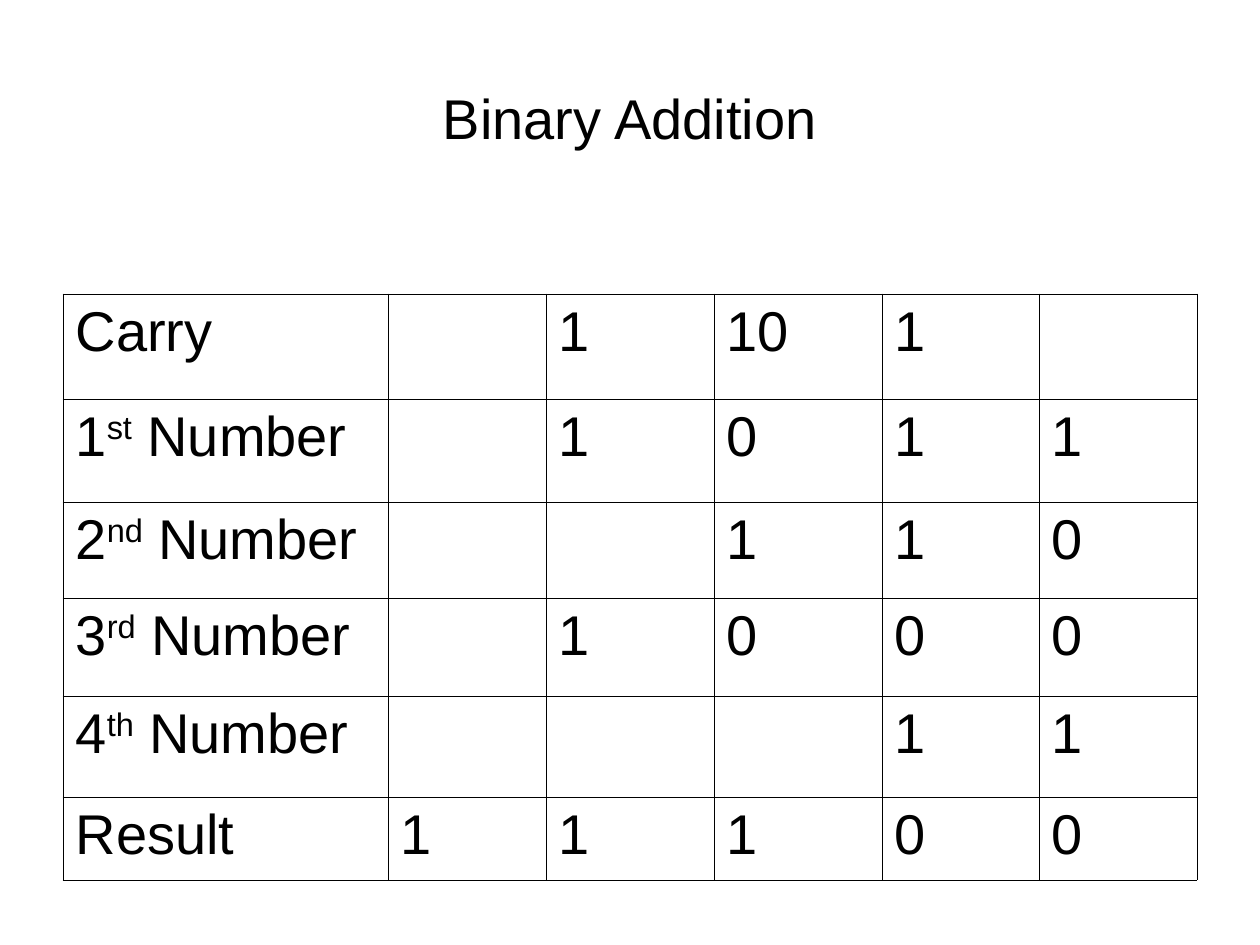
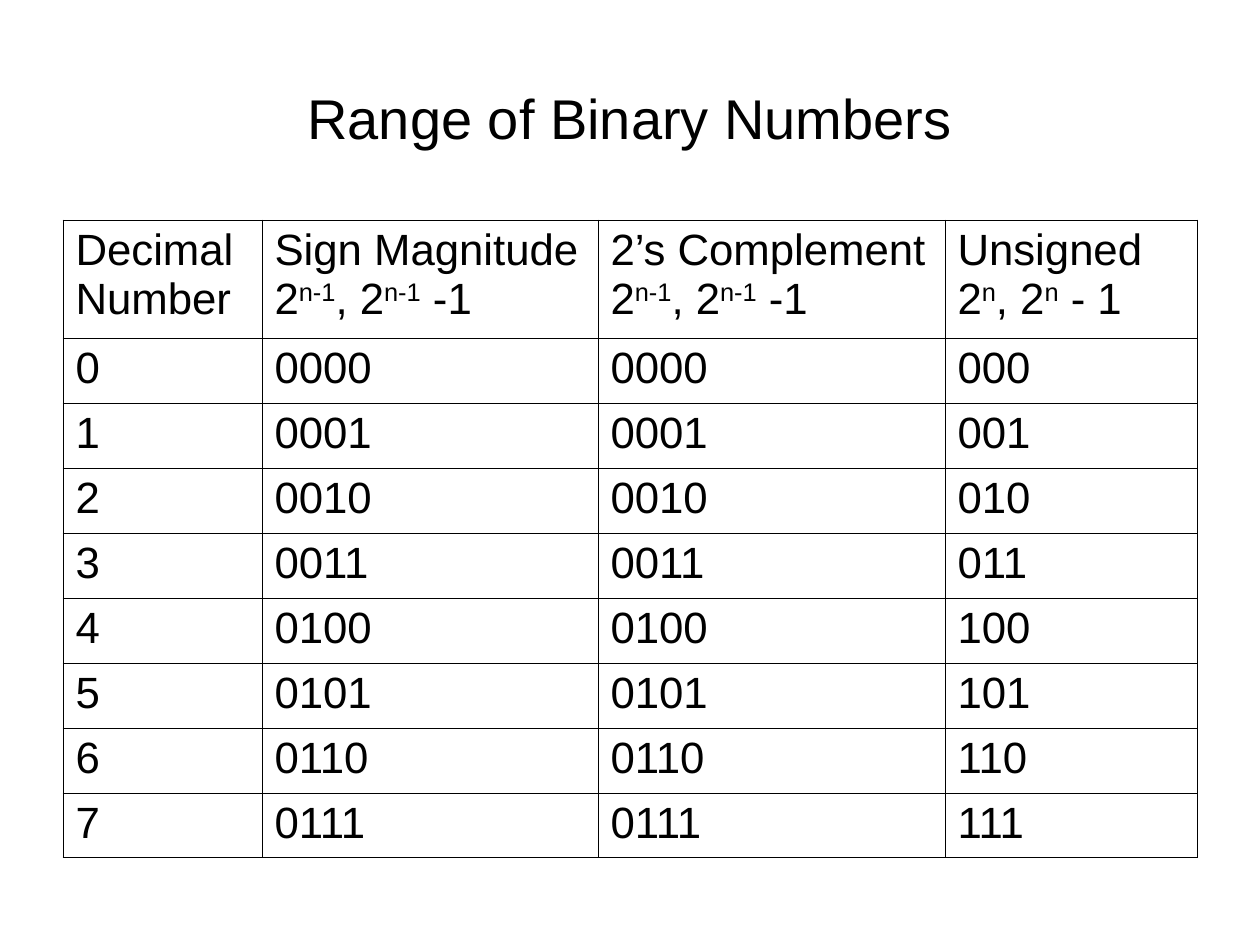
from dataclasses import dataclass

from lxml import etree
from pptx import Presentation
from pptx.dml.color import RGBColor
from pptx.enum.text import MSO_ANCHOR, MSO_AUTO_SIZE, PP_ALIGN
from pptx.oxml.ns import qn
from pptx.util import Emu, Pt

CENTER, JUSTIFY = PP_ALIGN.CENTER, PP_ALIGN.JUSTIFY
MIDDLE = MSO_ANCHOR.MIDDLE
NO_AUTOFIT = MSO_AUTO_SIZE.NONE
TITLE_ONLY = 5
PX_PER_INCH = 126
SUPERSCRIPT = "30000"


@dataclass(frozen=True)
class Theme:
    font: str = "Arial"
    ink: str = "000000"
    paper: str = "FFFFFF"
    large: int = 32
    small: int = 25
    border: float = 0.45
    left: int = 63
    width: int = 1134
    title_top: int = 38
    title_height: int = 158


THEME = Theme()


def px(length):
    return Emu(round(length * 914400 / PX_PER_INCH))


def style_span(span, size):
    span.font.name = THEME.font
    span.font.size = Pt(size)
    span.font.bold = False
    span.font.color.rgb = RGBColor.from_string(THEME.ink)


def add_titled_page(deck, text):
    page = deck.slides.add_slide(deck.slide_layouts[TITLE_ONLY])
    title = page.shapes.title
    title.left, title.top = px(THEME.left), px(THEME.title_top)
    title.width, title.height = px(THEME.width), px(THEME.title_height)
    frame = title.text_frame
    frame.text = text
    frame.auto_size = NO_AUTOFIT
    frame.vertical_anchor = MIDDLE
    para = frame.paragraphs[0]
    para.alignment = CENTER
    style_span(para.runs[0], THEME.large)
    return page


def fill_paragraph(para, text, size, hanging):
    para.alignment = JUSTIFY
    if hanging:
        properties = para._p.get_or_add_pPr()
        properties.set("marL", str(px(hanging)))
        properties.set("indent", str(-px(hanging)))
    for position, part in enumerate(text.split("|")):
        span = para.add_run()
        span.text = part
        style_span(span, size)
        if position % 2:
            span.font._element.set("baseline", SUPERSCRIPT)


def style_cell(cell):
    properties = cell._tc.get_or_add_tcPr()
    for side in ("lnL", "lnR", "lnT", "lnB"):
        line = etree.SubElement(properties, qn(f"a:{side}"), w=str(Pt(THEME.border)))
        fill = etree.SubElement(line, qn("a:solidFill"))
        etree.SubElement(fill, qn("a:srgbClr"), val=THEME.ink)
    cell.fill.solid()
    cell.fill.fore_color.rgb = RGBColor.from_string(THEME.paper)


def add_grid(page, top, widths, heights, rows, size, hanging=0):
    frame = page.shapes.add_table(len(heights), len(widths), px(THEME.left), px(top),
                                  px(sum(widths)), px(sum(heights)))
    table = frame.table
    table.first_row = table.horz_banding = False
    for column, width in zip(table.columns, widths):
        column.width = px(width)
    for row, height, texts in zip(table.rows, heights, rows):
        row.height = px(height)
        for cell, text in zip(row.cells, texts):
            style_cell(cell)
            if not text:
                continue
            for number, line in enumerate(text.split("\n")):
                text_frame = cell.text_frame
                para = text_frame.add_paragraph() if number else text_frame.paragraphs[0]
                fill_paragraph(para, line, size, hanging)


def add_addition_page(deck):
    page = add_titled_page(deck, "Binary Addition")
    rows = [
        ("Carry", "", "1", "10", "1", ""),
        ("1|st| Number", "", "1", "0", "1", "1"),
        ("2|nd| Number", "", "", "1", "1", "0"),
        ("3|rd| Number", "", "1", "0", "0", "0"),
        ("4|th| Number", "", "", "", "1", "1"),
        ("Result", "1", "1", "1", "0", "0"),
    ]
    add_grid(page, 294, [325, 158, 168, 168, 157, 158], [105, 103, 96, 98, 101, 83],
             rows, THEME.large, hanging=48)


def add_range_page(deck):
    page = add_titled_page(deck, "Range of Binary Numbers")
    signed_range = "2|n-1|, 2|n-1| -1"
    header = ("Decimal\nNumber", f"Sign Magnitude\n{signed_range}",
              f"2’s Complement\n{signed_range}", "Unsigned\n2|n|, 2|n| - 1")
    numbers = [(str(n), f"{n:04b}", f"{n:04b}", f"{n:03b}") for n in range(8)]
    add_grid(page, 220, [199, 336, 347, 252], [118] + [65] * len(numbers),
             [header] + numbers, THEME.small)


def main():
    deck = Presentation()
    deck.slide_width, deck.slide_height = px(1260), px(945)
    add_addition_page(deck)
    add_range_page(deck)
    deck.save("out.pptx")


if __name__ == "__main__":
    main()
